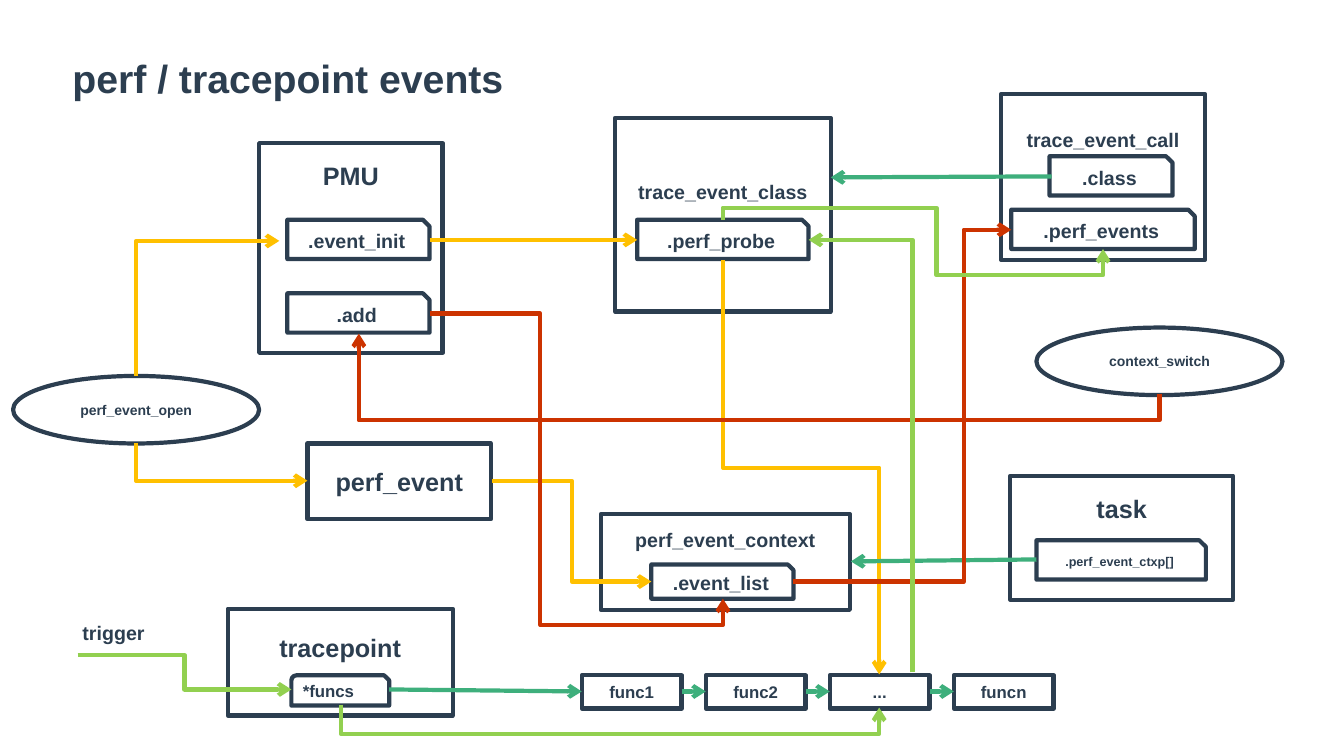
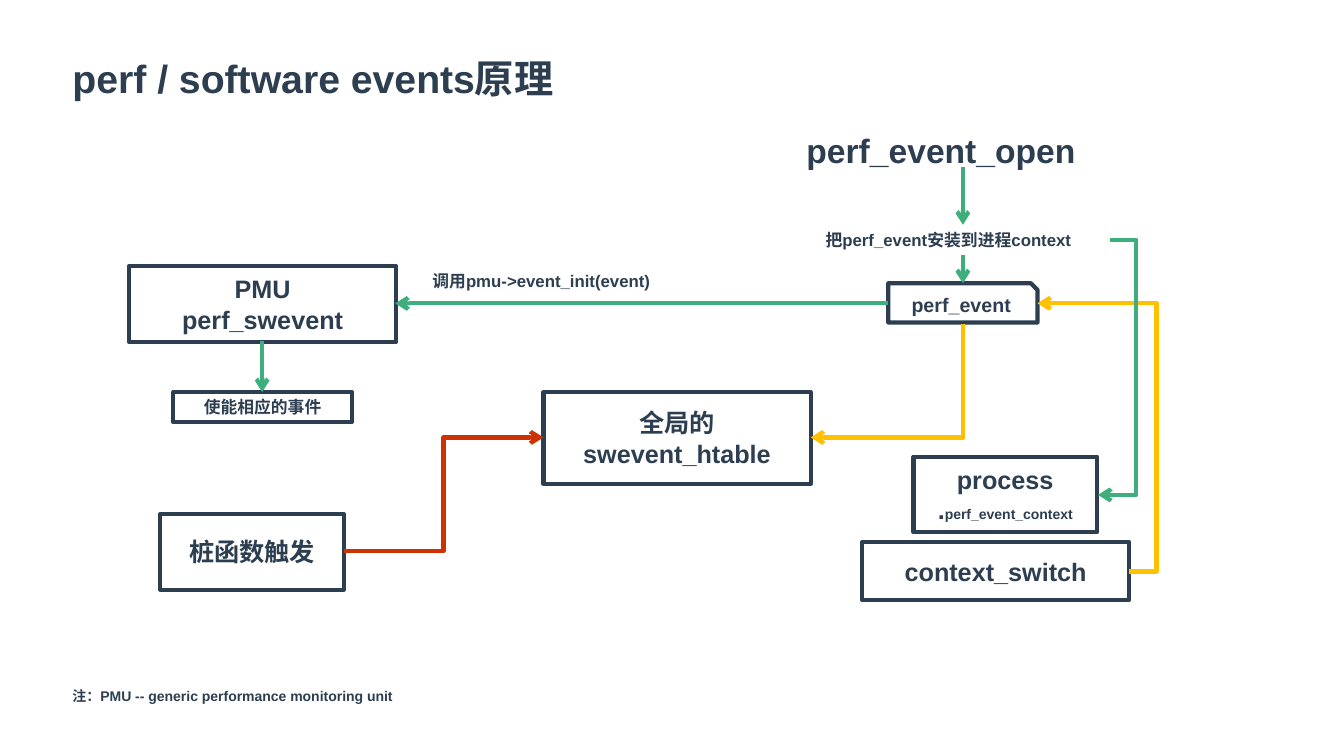
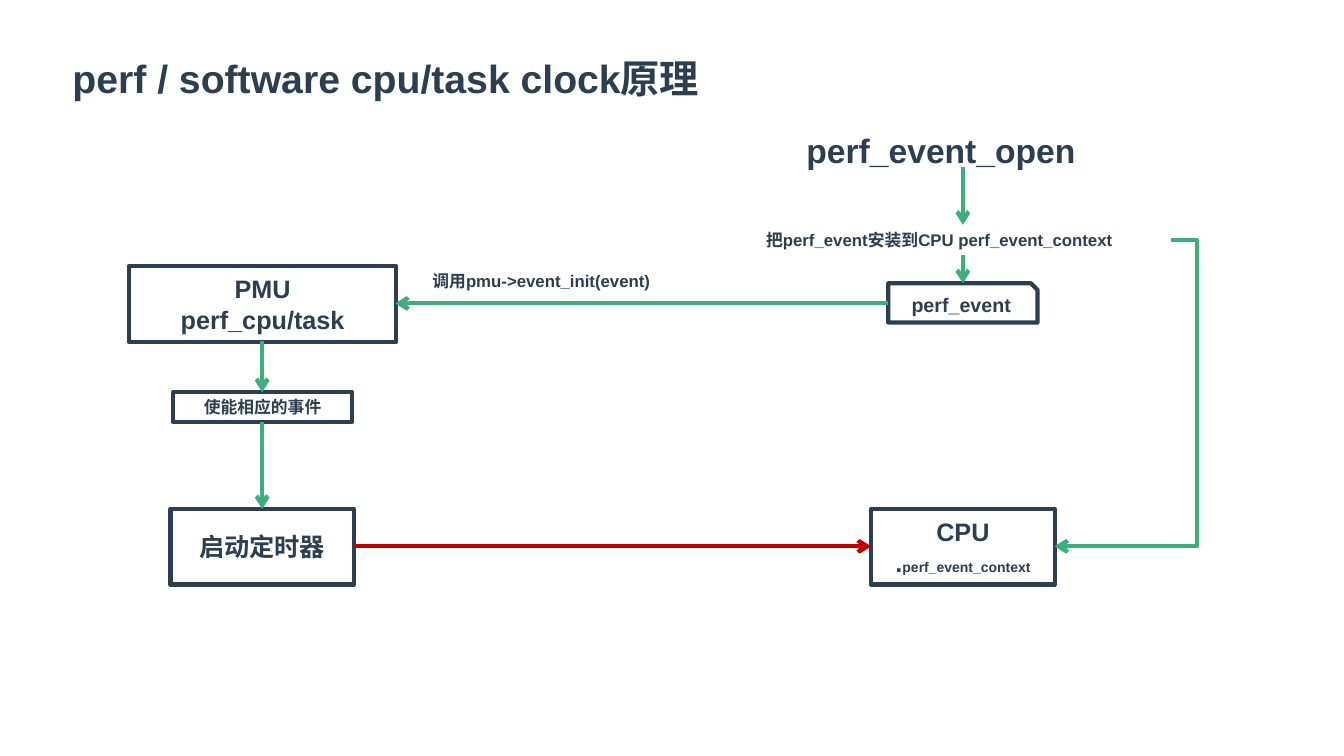
from lxml.etree import SubElement
from pptx import Presentation
from pptx.dml.color import RGBColor
from pptx.enum.shapes import MSO_CONNECTOR, MSO_SHAPE
from pptx.enum.text import MSO_ANCHOR, PP_ALIGN
from pptx.oxml.ns import qn
from pptx.util import Inches, Pt

# Shared look: the grid has square cells of one inch
CELL = Inches(1)
HUES = {"ink": "2C3E50", "teal": "3EAF7C", "gold": "FFC000",
        "rust": "CC3300", "lime": "92D050", "red": "C00000"}
TINT = {name: RGBColor.from_string(code) for name, code in HUES.items()}
FONT = {"name": "Arial", "bold": True}
SMALL = 10
RECT, SNIP, OVAL = MSO_SHAPE.RECTANGLE, MSO_SHAPE.SNIP_1_RECTANGLE, MSO_SHAPE.OVAL
ROUND = MSO_SHAPE.SNIP_ROUND_RECTANGLE


def put(slide, kind, at, text, size, low=0):
    """Add a box, or plain text if kind is None.

    low: lines of room kept free below the text; ~ starts a small run.
    """
    area = [round(n * CELL) for n in at]
    if kind is None:
        shape = slide.shapes.add_textbox(*area)
    else:
        shape = slide.shapes.add_shape(kind, *area)
        shape.shadow.inherit = False
        shape.fill.background()
        shape.line.color.rgb = TINT["ink"]
        shape.line.width = Pt(3)
    frame = shape.text_frame
    style = {"word_wrap": True,
             "vertical_anchor": MSO_ANCHOR.TOP if kind is None else MSO_ANCHOR.MIDDLE,
             "margin_bottom": Inches(0.05) + Pt(low * size * 1.15)}
    for key, val in style.items():
        setattr(frame, key, val)
    for row, line in enumerate(text.split("\n")):
        para = frame.add_paragraph() if row else frame.paragraphs[0]
        para.alignment = PP_ALIGN.LEFT if kind in (None, ROUND) else PP_ALIGN.CENTER
        for part, words in enumerate(line.split("~")):
            run = para.add_run()
            run.text = words
            run.font.color.rgb = TINT["ink"]
            for key, val in {**FONT, "size": Pt(SMALL if part else size)}.items():
                setattr(run.font, key, val)


def link(slide, hue, *stops):
    """Add an arrow through the stops; each leg of a bent one is level or upright."""
    (xa, ya), (xb, yb) = stops[0], stops[-1]
    legs = len(stops) - 1
    wide, high, turn = xb - xa, yb - ya, 0
    upright = legs > 1 and stops[1][0] == xa
    if upright:
        sign = 1 if stops[1][1] > ya else -1
        wide, high, turn = sign * high, -sign * wide, 180 - sign * 90
    midx, midy = (xa + xb) / 2, (ya + yb) / 2
    ends = [midx - wide / 2, midy - high / 2, midx + wide / 2, midy + high / 2]
    kind = MSO_CONNECTOR.ELBOW if legs > 1 else MSO_CONNECTOR.STRAIGHT
    arrow = slide.shapes.add_connector(kind, *[round(n * CELL) for n in ends])
    props = arrow._element.spPr
    if legs > 1:
        props.find(qn("a:xfrm")).set("rot", str(turn * 60000))
        geom = props.find(qn("a:prstGeom"))
        geom.set("prst", f"bentConnector{legs}")
        guides = geom.find(qn("a:avLst"))
        # Each middle leg sits at a share of the span, axes taking turns
        for n in range(1, legs - 1):
            axis = (n - 1 + upright) % 2
            share = (stops[n][axis] - stops[0][axis]) / (stops[-1][axis] - stops[0][axis])
            SubElement(guides, qn("a:gd"), name=f"adj{n}", fmla=f"val {round(share * 100000)}")
    arrow.line.color.rgb = TINT[hue]
    arrow.line.width = Pt(3)
    SubElement(props.find(qn("a:ln")), qn("a:tailEnd"), type="arrow")
    SubElement(props, qn("a:effectLst"))


deck = Presentation()
deck.slide_width, deck.slide_height = Inches(13.33), Inches(7.5)

# Slides and titles
pages = []
for title in ["perf / tracepoint events", "perf / software events原理",
              "perf / software cpu/task clock原理"]:
    page = deck.slides.add_slide(deck.slide_layouts[6])
    put(page, None, (0.62, 0.49, 7.49, 0.57), title, 28)
    pages.append(page)
trace, soft, clock = pages

# Tracepoint: outer boxes, then their fields
for at, text, size, low in [
    ((9.93, 0.93, 2.02, 1.65), "trace_event_call", 14, 3.3),
    ((2.26, 6.04, 2.23, 1.06), "tracepoint", 18, 1),
    ((2.57, 1.42, 1.82, 2.08), "PMU", 18, 5),
    ((6.1, 1.17, 2.14, 1.92), "trace_event_class", 14, 2),
    ((10.02, 4.72, 2.21, 1.23), "task", 18, 2),
    ((5.96, 5.1, 2.47, 0.95), "perf_event_context", 14, 2),
    ((3.05, 4.4, 1.82, 0.75), "perf_event", 18, 0),
]:
    put(trace, RECT, at, text, size, low)
for at, text, size in [
    ((2.85, 2.18, 1.41, 0.39), ".event_init", 14),
    ((2.85, 2.91, 1.41, 0.39), ".add", 14),
    ((6.32, 2.18, 1.7, 0.39), ".perf_probe", 14),
    ((10.41, 1.55, 1.22, 0.39), ".class", 14),
    ((10.03, 2.08, 1.82, 0.39), ".perf_events", 14),
    ((10.28, 5.36, 1.68, 0.39), ".perf_event_ctxp[]", 9),
    ((6.46, 5.6, 1.41, 0.34), ".event_list", 14),
]:
    put(trace, SNIP, at, text, size)
put(trace, ROUND, (2.89, 6.7, 0.97, 0.3), "*funcs", 12)
put(trace, OVAL, (0.13, 3.73, 2.44, 0.67), "perf_event_open", 10)
put(trace, OVAL, (10.28, 3.25, 2.44, 0.67), "context_switch", 10)
put(trace, None, (0.72, 6.11, 1.26, 0.34), "trigger", 14)

# Tracepoint: chain of functions
STEP, WIDE = 1.23, 0.99
for n, name in enumerate(["func1", "func2", "...", "funcn"]):
    left = 5.77 + n * STEP
    put(trace, RECT, (left, 6.7, WIDE, 0.33), name, 12)
    if n:
        link(trace, "teal", (left - STEP + WIDE, 6.86), (left, 6.86))

# Tracepoint: arrows
for hue, *stops in [
    ("gold", (4.26, 2.38), (6.32, 2.38)),
    ("gold", (7.17, 2.58), (7.17, 4.64), (8.72, 4.64), (8.72, 6.69)),
    ("teal", (3.86, 6.84), (5.77, 6.86)),
    ("teal", (10.43, 1.75), (8.24, 1.76)),
    ("gold", (1.35, 3.73), (1.35, 2.39), (2.77, 2.39)),
    ("gold", (1.35, 4.4), (1.35, 4.77), (3.05, 4.77)),
    ("gold", (4.88, 4.77), (5.67, 4.77), (5.67, 5.77), (6.46, 5.77)),
    ("teal", (10.28, 5.55), (8.44, 5.57)),
    ("rust", (11.5, 3.91), (11.5, 4.17), (3.56, 4.17), (3.56, 3.31)),
    ("rust", (4.26, 3.11), (5.36, 3.11), (5.36, 6.2), (7.17, 6.2), (7.17, 5.94)),
    ("rust", (7.87, 5.77), (9.56, 5.77), (9.56, 2.28), (10.03, 2.28)),
    ("lime", (0.77, 6.5), (1.83, 6.5), (1.83, 6.84), (2.89, 6.84)),
    ("lime", (3.38, 6.99), (3.38, 7.28), (8.72, 7.28), (8.72, 7.02)),
    ("lime", (9.05, 6.67), (9.05, 2.38), (8.02, 2.38)),
    ("lime", (7.17, 2.18), (7.17, 2.06), (9.29, 2.06), (9.29, 2.73),
     (10.94, 2.73), (10.94, 2.47)),
]:
    link(trace, hue, *stops)

# Parts common to both software slides
for page, unit in [(soft, "perf_swevent"), (clock, "perf_cpu/task")]:
    put(page, RECT, (1.28, 2.64, 2.65, 0.75), "PMU\n" + unit, 18)
    put(page, RECT, (1.72, 3.89, 1.77, 0.3), "使能相应的事件", 12)
    put(page, None, (4.19, 2.64, 2.88, 0.3), "调用pmu->event_init(event)", 12)
    put(page, SNIP, (8.81, 2.81, 1.48, 0.39), "perf_event", 14)
    put(page, None, (7.9, 1.24, 3.31, 0.5), "perf_event_open", 24)
    for stops in [((9.55, 1.66), (9.55, 2.23)), ((9.55, 2.53), (9.55, 2.81)),
                  ((8.81, 3.01), (3.92, 3.01)), ((2.6, 3.38), (2.6, 3.89))]:
        link(page, "teal", *stops)

# Software events
put(soft, RECT, (5.39, 3.89, 2.65, 0.91), "全局的\nswevent_htable", 18)
put(soft, RECT, (1.59, 5.1, 1.82, 0.75), "桩函数触发", 18)
put(soft, RECT, (8.55, 5.38, 2.65, 0.57), "context_switch", 18)
put(soft, RECT, (9.06, 4.53, 1.82, 0.75), "process\n.~perf_event_context", 18)
put(soft, None, (8.09, 2.23, 2.92, 0.3), "把perf_event安装到进程context", 12)
put(soft, None, (0.62, 6.77, 3.95, 0.27),
    "注：PMU -- generic performance monitoring unit", 10)
link(soft, "gold", (11.2, 5.67), (11.47, 5.67), (11.47, 3.01), (10.29, 3.01))
link(soft, "gold", (9.55, 3.21), (9.55, 4.34), (8.04, 4.34))
link(soft, "rust", (3.41, 5.47), (4.4, 5.47), (4.4, 4.34), (5.39, 4.34))
link(soft, "teal", (11.01, 2.38), (11.27, 2.38), (11.27, 4.91), (10.89, 4.91))

# Software clock
put(clock, RECT, (1.69, 5.05, 1.82, 0.75), "启动定时器", 18)
put(clock, RECT, (8.64, 5.05, 1.82, 0.75), "CPU\n.~perf_event_context", 18)
put(clock, None, (7.5, 2.23, 4.11, 0.3), "把perf_event安装到CPU perf_event_context", 12)
link(clock, "teal", (11.61, 2.38), (11.87, 2.38), (11.87, 5.42), (10.46, 5.42))
link(clock, "teal", (2.6, 4.19), (2.6, 5.05))
link(clock, "red", (3.51, 5.42), (8.64, 5.42))

deck.save("out.pptx")
